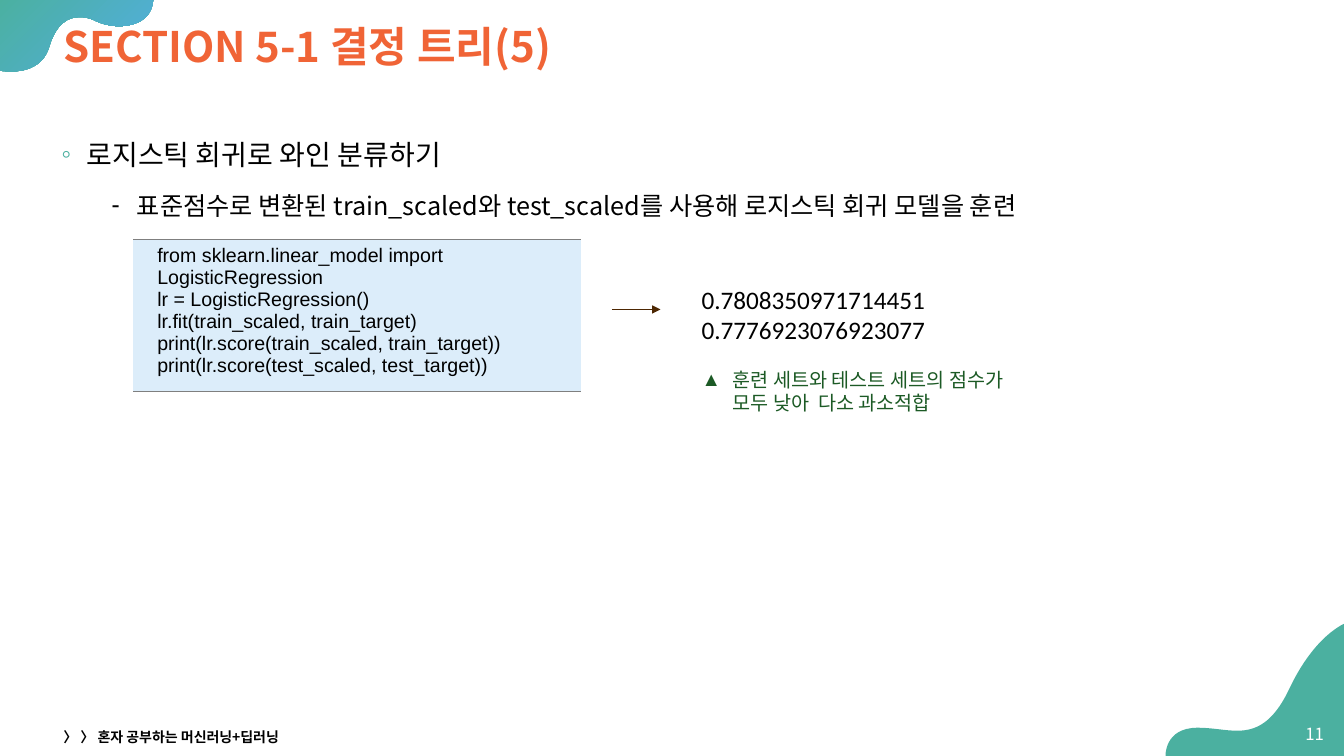
"""Build the slide on classifying wine with logistic regression."""
from dataclasses import dataclass

from lxml.etree import SubElement
from pptx import Presentation
from pptx.dml.color import RGBColor
from pptx.enum.shapes import MSO_CONNECTOR
from pptx.enum.text import MSO_ANCHOR, PP_ALIGN
from pptx.oxml import parse_xml
from pptx.oxml.ns import nsdecls, qn
from pptx.util import Inches, Pt

TITLE = "SECTION 5-1 결정 트리(5)"
TOPIC = "로지스틱 회귀로 와인 분류하기"
DETAIL = "표준점수로 변환된 train_scaled와 test_scaled를 사용해 로지스틱 회귀 모델을 훈련"
CODE = [
    "from sklearn.linear_model import LogisticRegression",
    "lr = LogisticRegression()",
    "lr.fit(train_scaled, train_target)",
    "print(lr.score(train_scaled, train_target))",
    "print(lr.score(test_scaled, test_target))",
]
SCORES = ["0.7808350971714451", "0.7776923076923077"]
REMARK = "훈련 세트와 테스트 세트의 점수가 모두 낮아  다소 과소적합"
FOOTER = "〉 〉 혼자 공부하는 머신러닝+딥러닝"
PAGE = "11"

TOP_WAVE = [
    [(1.52, -0.02)], [(-0.01, -0.02)], [(-0.01, 0.7)],
    [(-0.01, 0.7), (0.04, 0.71), (0.11, 0.71)],
    [(0.24, 0.71), (0.43, 0.67), (0.49, 0.46)],
    [(0.56, 0.23), (0.68, 0.17), (0.79, 0.17)],
    [(0.84, 0.17), (0.89, 0.18), (0.93, 0.2)],
    [(1.01, 0.24), (1.1, 0.26), (1.18, 0.26)],
    [(1.37, 0.26), (1.52, 0.17), (1.52, -0.02)],
]
BOTTOM_WAVE = [
    [(13.35, 6.18)],
    [(13.35, 6.18), (13.04, 6.29), (12.78, 6.85)],
    [(12.62, 7.18), (12.45, 7.25), (12.27, 7.25)],
    [(12.15, 7.25), (12.02, 7.22), (11.88, 7.22)],
    [(11.54, 7.22), (11.56, 7.51), (11.56, 7.51)],
    [(13.35, 7.51)], [(13.35, 6.18)],
]


@dataclass(frozen=True)
class Theme:
    """Colours, fonts and type sizes."""
    teal: str = "4BB0A0"
    sky: str = "52AEE1"
    orange: str = "F06436"
    green: str = "1C5A25"
    brown: str = "4D2702"
    rule: str = "7F7F7F"
    code_fill: str = "DCEDFA"
    black: str = "000000"
    white: str = "FFFFFF"
    sans: str = "Noto Sans CJK KR"
    latin: str = "Calibri"
    mono: str = "Arial"
    title: int = 30
    topic: int = 20
    detail: int = 18
    code: int = 14
    page: int = 12
    footer: int = 10


THEME = Theme()
MARGIN, WIDE = 0.53, 12.34
RESULT_LEFT = 6.86
CODE_BOX, CODE_ROW = (1.32, 2.38, 4.44, 1.5), 0.33
ARROW_Y = 3.07


def rgb(value):
    return RGBColor.from_string(value)


def style(paragraph, size, color, font, bold=False):
    for run in paragraph.runs:
        run.font.size, run.font.bold, run.font.name = Pt(size), bold, font
        run.font.color.rgb = rgb(color)
        SubElement(run.font._element, qn("a:ea")).set("typeface", THEME.sans)


def bullet(paragraph, mark, color, indent, hang):
    properties = paragraph._p.get_or_add_pPr()
    properties.set("marL", str(Inches(indent)))
    properties.set("indent", str(-Inches(hang)))
    tint = SubElement(properties, qn("a:buClr"))
    SubElement(tint, qn("a:srgbClr")).set("val", color)
    SubElement(properties, qn("a:buFont")).set("typeface", THEME.mono)
    SubElement(properties, qn("a:buChar")).set("char", mark)


def add_text(slide, box, lines, size, color, font=THEME.sans, bold=False, anchor=MSO_ANCHOR.TOP):
    frame = slide.shapes.add_textbox(*map(Inches, box)).text_frame
    frame.word_wrap, frame.vertical_anchor = True, anchor
    frame.text = "\n".join(lines)
    for paragraph in frame.paragraphs:
        style(paragraph, size, color, font, bold)
    return frame.paragraphs


def add_wave(slide, outline):
    start, *rest = [(Inches(x), Inches(y)) for segment in outline for x, y in segment]
    builder = slide.shapes.build_freeform(*start)
    builder.add_line_segments(rest, close=True)
    wave = builder.convert_to_shape()
    sides = iter(list(wave._element.iter(qn("a:lnTo"))))
    for segment in outline[1:]:
        first, *others = [next(sides) for _ in segment]
        if others:
            first.tag = qn("a:cubicBezTo")
            for side in others:
                first.append(side[0])
                side.getparent().remove(side)
    wave.shadow.inherit = False
    wave.line.fill.background()
    wave.fill.solid()
    wave.fill.fore_color.rgb = rgb(THEME.teal)
    return wave


def add_code(slide):
    table = slide.shapes.add_table(1, 1, *map(Inches, CODE_BOX)).table
    table.rows[0].height = Inches(CODE_ROW)
    table.first_row = table.horz_banding = False
    cell = table.cell(0, 0)
    cell.margin_left = Inches(0.24)
    cell.text = "\n".join(CODE)
    for paragraph in cell.text_frame.paragraphs:
        style(paragraph, THEME.code, THEME.black, THEME.mono)
    cell.fill.solid()
    cell.fill.fore_color.rgb = rgb(THEME.code_fill)
    ruled = f'<a:solidFill><a:srgbClr val="{THEME.rule}"/></a:solidFill>'
    edges = {"lnL": "<a:noFill/>", "lnR": "<a:noFill/>", "lnT": ruled, "lnB": ruled}
    for place, (edge, paint) in enumerate(edges.items()):
        border = parse_xml(f'<a:{edge} {nsdecls("a")} w="{Pt(1)}">{paint}</a:{edge}>')
        cell._tc.get_or_add_tcPr().insert(place, border)


def add_arrow(slide):
    ends = map(Inches, (6.07, ARROW_Y, 6.55, ARROW_Y))
    arrow = slide.shapes.add_connector(MSO_CONNECTOR.STRAIGHT, *ends)
    arrow.line.width = Pt(0.75)
    arrow.line.color.rgb = rgb(THEME.brown)
    SubElement(arrow.line._get_or_add_ln(), qn("a:tailEnd")).set("type", "triangle")
    SubElement(arrow._element.spPr, qn("a:effectLst"))


def main():
    deck = Presentation()
    deck.slide_width, deck.slide_height = Inches(13.33), Inches(7.5)
    slide = deck.slides.add_slide(deck.slide_layouts[6])

    top_wave = add_wave(slide, TOP_WAVE)
    top_wave.fill.gradient()
    top_wave.fill.gradient_angle = 315
    for stop, color in zip(top_wave.fill.gradient_stops, (THEME.teal, THEME.sky)):
        stop.color.rgb = rgb(color)
    add_wave(slide, BOTTOM_WAVE)

    topic, detail = add_text(slide, (0.51, 1.18, WIDE, 5.97), [TOPIC, DETAIL], THEME.topic, THEME.black)
    bullet(topic, "◦", THEME.teal, 0.25, 0.25)
    bullet(detail, "⁃", THEME.black, 0.75, 0.25)
    topic.line_spacing = detail.line_spacing = 1.4
    detail.level = 1
    detail.space_before = Pt(5)
    detail.runs[0].font.size = Pt(THEME.detail)

    middle = MSO_ANCHOR.MIDDLE
    heading, = add_text(slide, (MARGIN, 0.12, WIDE, 0.73), [TITLE], THEME.title, THEME.orange,
                        bold=True, anchor=middle)
    heading.line_spacing = 0.9
    page, = add_text(slide, (12.79, 7.08, 0.44, 0.4), [PAGE], THEME.page, THEME.white, anchor=middle)
    page.alignment = PP_ALIGN.RIGHT
    add_text(slide, (MARGIN, 7.19, 4.5, 0.24), [FOOTER], THEME.footer, THEME.black,
             bold=True, anchor=middle)

    add_code(slide)
    add_arrow(slide)
    add_text(slide, (RESULT_LEFT, 2.77, 2.65, 0.71), SCORES, THEME.detail, THEME.black, THEME.latin)
    remark, = add_text(slide, (RESULT_LEFT, 3.6, 3.53, 0.57), [REMARK], THEME.code, THEME.green, THEME.latin)
    bullet(remark, "▲", THEME.green, 0.31, 0.31)
    deck.save("out.pptx")


if __name__ == "__main__":
    main()
